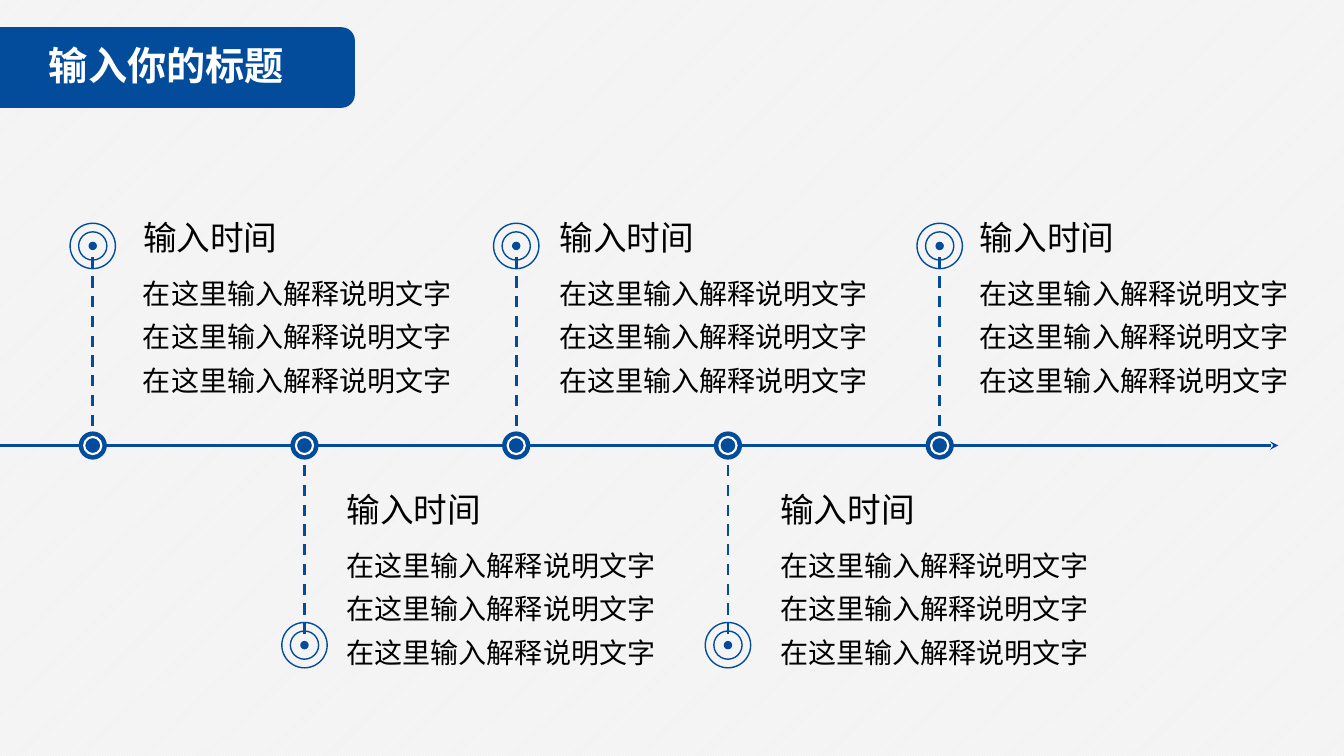
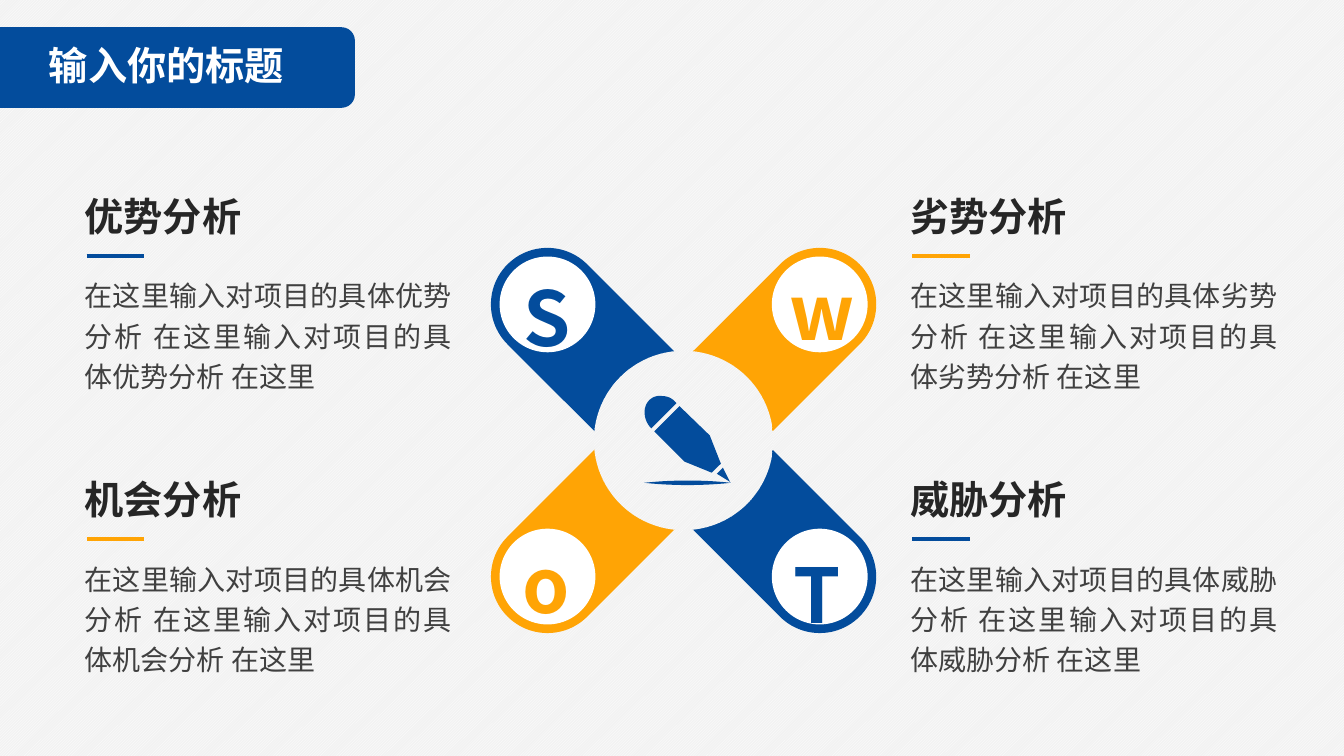
from lxml.etree import SubElement
from pptx import Presentation
from pptx.dml.color import RGBColor
from pptx.enum.dml import MSO_LINE, MSO_PATTERN
from pptx.enum.shapes import MSO_CONNECTOR, MSO_SHAPE
from pptx.enum.text import MSO_ANCHOR, MSO_AUTO_SIZE, PP_ALIGN
from pptx.oxml.ns import qn
from pptx.util import Inches, Pt

# Content
TITLE = "输入你的标题"
TIME_LABEL = "输入时间"
TIME_DETAILS = ["在这里输入解释说明文字"] * 3
TIME_TEXT_LEFTS = [1.32, 3.34, 5.45, 7.64, 9.62]

BLUE, ORANGE, WHITE, STRIPE = "034C9C", "FFA405", "FFFFFF", "F2F2F2"
BLACK, HEADING_GREY, BODY_GREY = "000000", "262626", "404040"
FONT = "Noto Sans CJK SC"

# Heading, letter, colour, column, row, letter box left and top
SWOT = [
    ("优势", "S", BLUE, 0, 0, 5.09, 2.37),
    ("劣势", "w", ORANGE, 1, 0, 7.73, 2.31),
    ("机会", "o", ORANGE, 0, 1, 5.08, 5.02),
    ("威胁", "T", BLUE, 1, 1, 7.77, 5.12),
]

# Text styles: colour, font values, paragraph values
TITLE_STYLE = (WHITE, {"size": Pt(28), "bold": True}, {"line_spacing": 0.9, "alignment": PP_ALIGN.LEFT})
TIME_STYLE = (BLACK, {"size": Pt(24)}, {})
DETAIL_STYLE = (BLACK, {"size": Pt(20)}, {"line_spacing": 1.3})
HEADING_STYLE = (HEADING_GREY, {"size": Pt(28), "bold": True}, {})
BODY_STYLE = (BODY_GREY, {"size": Pt(20)}, {"line_spacing": 1.2, "alignment": PP_ALIGN.JUSTIFY})
LETTER_VALUES = ({"size": Pt(54), "bold": True}, {"line_spacing": 1.3})

# Pen outlines: a pair is a straight step, three pairs are a cubic curve
PEN = [
    [(6.39, 4.79), ((6.66, 4.76), (6.98, 4.76), (7.25, 4.79)),
     ((6.98, 4.82), (6.66, 4.82), (6.39, 4.79))],
    [(7.17, 4.64), (7.24, 4.78), (7.11, 4.70)],
    [(6.74, 4.03), (7.04, 4.32), (7.15, 4.60), (7.06, 4.69), (6.79, 4.58), (6.49, 4.28)],
    [(6.57, 3.93), ((6.62, 3.93), (6.67, 3.95), (6.71, 4.00)), (6.46, 4.25),
     ((6.38, 4.17), (6.37, 4.04), (6.44, 3.97)), ((6.47, 3.94), (6.52, 3.92), (6.57, 3.93))],
]


def color(value):
    return RGBColor.from_string(value)


def set_stripes(fill):
    fill.patterned()
    fill.pattern = MSO_PATTERN.DARK_UPWARD_DIAGONAL
    fill.fore_color.rgb = color(WHITE)
    fill.back_color.rgb = color(STRIPE)


def paint(shape, fill=None, line=None, line_width=1):
    shape.shadow.inherit = False
    if fill:
        shape.fill.solid()
        shape.fill.fore_color.rgb = color(fill)
    else:
        shape.fill.background()
    if line:
        shape.line.color.rgb = color(line)
        shape.line.width = Pt(line_width)
    else:
        shape.line.fill.background()


def add_box(slide, kind, left, top, width, height, **look):
    shape = slide.shapes.add_shape(kind, Inches(left), Inches(top), Inches(width), Inches(height))
    paint(shape, **look)
    return shape


def add_circle(slide, x, y, size, **look):
    return add_box(slide, MSO_SHAPE.OVAL, x - size / 2, y - size / 2, size, size, **look)


def add_line(slide, start, end, line_color, width, dash=None, tail=None):
    points = [Inches(value) for value in (*start, *end)]
    connector = slide.shapes.add_connector(MSO_CONNECTOR.STRAIGHT, *points)
    connector.line.color.rgb = color(line_color)
    connector.line.width = Pt(width)
    if dash:
        connector.line.dash_style = dash
    properties = connector._element.spPr
    if tail:
        SubElement(properties.find(qn("a:ln")), qn("a:tailEnd"), type=tail)
    SubElement(properties, qn("a:effectLst"))


def write(frame, texts, style):
    text_color, font_values, paragraph_values = style
    for index, text in enumerate(texts):
        paragraph = frame.paragraphs[0] if index == 0 else frame.add_paragraph()
        for name, value in paragraph_values.items():
            setattr(paragraph, name, value)
        run = paragraph.add_run()
        run.text = text
        for name, value in {"name": FONT, **font_values}.items():
            setattr(run.font, name, value)
        run.font.color.rgb = color(text_color)
        SubElement(run._r.get_or_add_rPr(), qn("a:ea"), typeface=FONT)


def add_text(slide, texts, style, left, top, width, height, inset=0.1, wrap=True):
    box = slide.shapes.add_textbox(Inches(left), Inches(top), Inches(width), Inches(height))
    frame = box.text_frame
    frame.word_wrap = wrap
    frame.auto_size = MSO_AUTO_SIZE.SHAPE_TO_FIT_TEXT
    frame.margin_left = Inches(inset)
    write(frame, texts, style)


def add_titled_slide(presentation):
    slide = presentation.slides.add_slide(presentation.slide_layouts[6])
    add_box(slide, MSO_SHAPE.ROUNDED_RECTANGLE, -0.26, 0.27, 3.78, 0.8, fill=BLUE)
    title = add_box(slide, MSO_SHAPE.ROUNDED_RECTANGLE, 0.29, 0.34, 3.02, 0.66)
    title.adjustments[0] = 0.5
    title.text_frame.word_wrap = True
    title.text_frame.vertical_anchor = MSO_ANCHOR.MIDDLE
    write(title.text_frame, [TITLE], TITLE_STYLE)
    return slide


def flatten(outline, steps=12):
    """Turn an outline with curves into a list of points."""
    points = [outline[0]]
    for part in outline[1:]:
        if len(part) == 2:
            points.append(part)
            continue
        curve = (points[-1], *part)
        for step in range(1, steps + 1):
            t = step / steps
            weights = ((1 - t) ** 3, 3 * t * (1 - t) ** 2, 3 * t * t * (1 - t), t ** 3)
            points.append(tuple(sum(w * p[axis] for w, p in zip(weights, curve)) for axis in (0, 1)))
    return points


def add_pen(slide):
    builder = None
    for outline in PEN:
        start, *rest = [(Inches(x), Inches(y)) for x, y in flatten(outline)]
        if builder is None:
            builder = slide.shapes.build_freeform(*start)
        else:
            builder.move_to(*start)
        builder.add_line_segments(rest, close=True)
    paint(builder.convert_to_shape(), fill=BLUE)


def build_timeline(presentation):
    slide = add_titled_slide(presentation)
    axis_y, first_x, step, reach = 4.42, 0.92, 2.1, 1.98
    add_line(slide, (0, axis_y), (12.68, axis_y), BLUE, 2, tail="stealth")
    for index, text_left in enumerate(TIME_TEXT_LEFTS):
        x = first_x + index * step
        above = index % 2 == 0
        end_y = axis_y - reach if above else axis_y + reach
        # Stem, target rings and node on the axis
        add_line(slide, (x, axis_y), (x, end_y), BLUE, 2, MSO_LINE.DASH, "oval")
        for size in (0.28, 0.45):
            add_circle(slide, x, end_y, size, line=BLUE)
        add_circle(slide, x, axis_y, 0.28, fill=BLUE)
        add_circle(slide, x, axis_y, 0.17, fill=BLUE, line=WHITE, line_width=1.5)
        # Time and details
        top = 2.1 if above else 4.8
        add_text(slide, [TIME_LABEL], TIME_STYLE, text_left, top, 1.95, 0.5)
        add_text(slide, TIME_DETAILS, DETAIL_STYLE, text_left, top + 0.49, 3.7, 1.37)


def build_swot(presentation):
    slide = add_titled_slide(presentation)
    hub_x, hub_y, offset = 6.78, 4.37, 1.35
    # Crossed arms
    for arm_color, angle in ((ORANGE, 45), (BLUE, 315)):
        arm = add_box(slide, MSO_SHAPE.ROUNDED_RECTANGLE, hub_x - 0.56, hub_y - 2.47, 1.12, 4.94,
                      fill=arm_color)
        arm.adjustments[0] = 0.5
        arm.rotation = angle
    for name, letter, accent, column, row, letter_left, letter_top in SWOT:
        # Heading, rule and body
        left, top = 0.84 + column * 8.19, 1.86 + row * 2.81
        body = f"在这里输入对项目的具体{name}分析 在这里输入对项目的具体{name}分析 在这里"
        add_text(slide, [name + "分析"], HEADING_STYLE, left, top, 1.67, 0.57, inset=0, wrap=False)
        add_text(slide, [body], BODY_STYLE, left, top + 0.79, 3.74, 1.28, inset=0)
        add_line(slide, (left + 0.02, top + 0.68), (left + 0.59, top + 0.68), accent, 3)
        # Letter in the arm's end
        add_circle(slide, hub_x + (2 * column - 1) * offset, hub_y + (2 * row - 1) * offset, 0.95,
                   fill=WHITE)
        add_text(slide, [letter], (accent, *LETTER_VALUES), letter_left, letter_top, 0.79, 1.17)
    # Hub with pen
    hub = add_circle(slide, hub_x, hub_y, 1.78)
    set_stripes(hub.fill)
    add_pen(slide)


def main():
    presentation = Presentation()
    presentation.slide_width = Inches(13.33)
    presentation.slide_height = Inches(7.5)
    set_stripes(presentation.slide_master.background.fill)
    build_timeline(presentation)
    build_swot(presentation)
    presentation.save("out.pptx")


if __name__ == "__main__":
    main()
